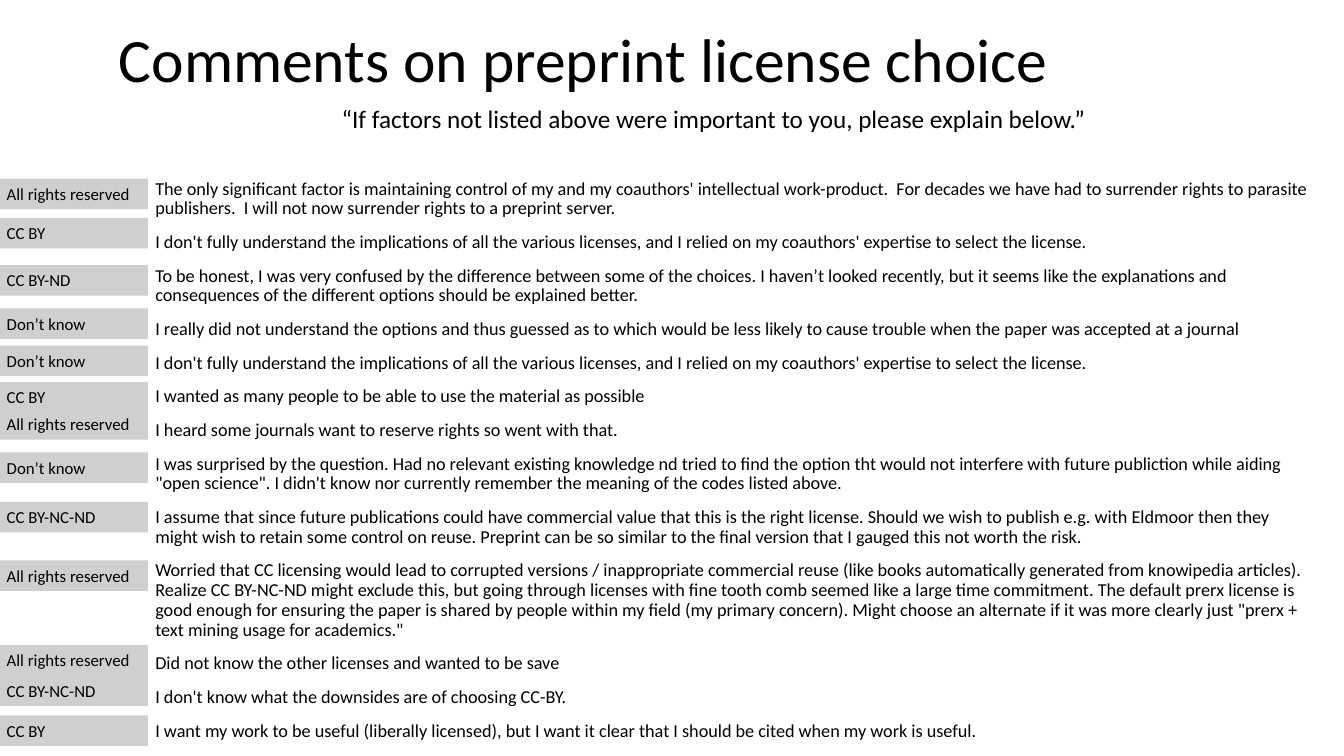
from dataclasses import dataclass

from pptx import Presentation
from pptx.dml.color import RGBColor
from pptx.enum.shapes import MSO_SHAPE as Shape
from pptx.enum.text import MSO_ANCHOR as Anchor, MSO_AUTO_SIZE as AutoSize, PP_ALIGN as Align
from pptx.util import Cm, Pt

# Content: license, top of its label in cm, comment
TITLE = "Comments on preprint license choice"
QUESTION = "“If factors not listed above were important to you, please explain below.”"
COMMENTS = [
    ("All rights reserved", 4.5,
     "The only significant factor is maintaining control of my and my coauthors' intellectual "
     "work-product.  For decades we have had to surrender rights to parasite publishers.  "
     "I will not now surrender rights to a preprint server."),
    ("CC BY", 5.49,
     "I don't fully understand the implications of all the various licenses, and I relied on "
     "my coauthors' expertise to select the license."),
    ("CC BY-ND", 6.68,
     "To be honest, I was very confused by the difference between some of the choices. "
     "I haven’t looked recently, but it seems like the explanations and consequences of the "
     "different options should be explained better."),
    ("Don’t know", 7.77,
     "I really did not understand the options and thus guessed as to which would be less "
     "likely to cause trouble when the paper was accepted at a journal"),
    ("Don’t know", 8.71,
     "I don't fully understand the implications of all the various licenses, and I relied on "
     "my coauthors' expertise to select the license."),
    ("CC BY", 9.63,
     "I wanted as many people to be able to use the material as possible"),
    ("All rights reserved", 10.31,
     "I heard some journals want to reserve rights so went with that."),
    ("Don’t know", 11.4,
     "I was surprised by the question. Had no relevant existing knowledge nd tried to find the "
     "option tht would not interfere with future publiction while aiding \"open science\". "
     "I didn't know nor currently remember the meaning of the codes listed above."),
    ("CC BY-NC-ND", 12.65,
     "I assume that since future publications could have commercial value that this is the "
     "right license. Should we wish to publish e.g. with Eldmoor then they might wish to retain "
     "some control on reuse. Preprint can be so similar to the final version that I gauged "
     "this not worth the risk."),
    ("All rights reserved", 14.12,
     "Worried that CC licensing would lead to corrupted versions / inappropriate commercial "
     "reuse (like books automatically generated from knowipedia articles). Realize CC BY-NC-ND "
     "might exclude this, but going through licenses with fine tooth comb seemed like a large "
     "time commitment. The default prerx license is good enough for ensuring the paper is "
     "shared by people within my field (my primary concern). Might choose an alternate if it "
     "was more clearly just \"prerx + text mining usage for academics.\""),
    ("All rights reserved", 16.26,
     "Did not know the other licenses and wanted to be save"),
    ("CC BY-NC-ND", 17.02,
     "I don't know what the downsides are of choosing CC-BY."),
    ("CC BY", 18.03,
     "I want my work to be useful (liberally licensed), but I want it clear that I should be "
     "cited when my work is useful."),
]


@dataclass(frozen=True)
class Theme:
    font: str = "Calibri"
    text: RGBColor = RGBColor(0x00, 0x00, 0x00)
    label_fill: RGBColor = RGBColor(0xD0, 0xCE, 0xCE)
    title_size: int = 44
    question_size: int = 18
    comment_size: int = 13
    label_size: int = 12


THEME = Theme()
LABEL_LEFT, LABEL_WIDTH, LABEL_HEIGHT = Cm(-0.08), Cm(3.81), Cm(0.77)
BULLET_INDENT = Cm(0.64)


def place(shape, left, top, width, height):
    shape.left, shape.top, shape.width, shape.height = Cm(left), Cm(top), Cm(width), Cm(height)


def write(paragraph, text, size):
    paragraph.alignment = Align.LEFT
    run = paragraph.add_run()
    run.text = text
    run.font.name = THEME.font
    run.font.size = Pt(size)
    run.font.color.rgb = THEME.text


def set_frame(frame, wrap=True, anchor=Anchor.TOP):
    frame.word_wrap = wrap
    frame.auto_size = AutoSize.NONE
    frame.vertical_anchor = anchor


def add_title(slide):
    title = slide.shapes.title
    place(title, 2.74, 0.61, 29.21, 3.68)
    set_frame(title.text_frame)
    paragraph = title.text_frame.paragraphs[0]
    paragraph.line_spacing = 0.9
    write(paragraph, TITLE, THEME.title_size)


def add_comments(slide):
    body = slide.placeholders[1]
    place(body, 3.02, 4.39, 30.3, 13.97)
    frame = body.text_frame
    set_frame(frame)
    for index, (_, _, comment) in enumerate(COMMENTS):
        paragraph = frame.add_paragraph() if index else frame.paragraphs[0]
        paragraph.line_spacing = 0.9
        paragraph.space_before = Pt(10)
        properties = paragraph._p.get_or_add_pPr()
        properties.set("marL", str(BULLET_INDENT))
        properties.set("indent", str(-BULLET_INDENT))
        write(paragraph, comment, THEME.comment_size)


def add_question(slide):
    box = slide.shapes.add_textbox(Cm(8.36), Cm(2.49), Cm(19.66), Cm(1.02))
    set_frame(box.text_frame, wrap=False)
    write(box.text_frame.paragraphs[0], QUESTION, THEME.question_size)


def add_label(slide, license_name, top):
    label = slide.shapes.add_shape(Shape.RECTANGLE, LABEL_LEFT, Cm(top), LABEL_WIDTH, LABEL_HEIGHT)
    label.shadow.inherit = False
    label.fill.solid()
    label.fill.fore_color.rgb = THEME.label_fill
    label.line.fill.background()
    set_frame(label.text_frame)
    write(label.text_frame.paragraphs[0], license_name, THEME.label_size)


def main():
    presentation = Presentation()
    presentation.slide_width, presentation.slide_height = Cm(33.87), Cm(19.05)
    slide = presentation.slides.add_slide(presentation.slide_layouts[1])

    # Heading and survey question
    add_title(slide)
    add_question(slide)

    # Comments, with the license labels beside them
    add_comments(slide)
    for license_name, top, _ in COMMENTS:
        add_label(slide, license_name, top)

    presentation.save("out.pptx")


if __name__ == "__main__":
    main()
